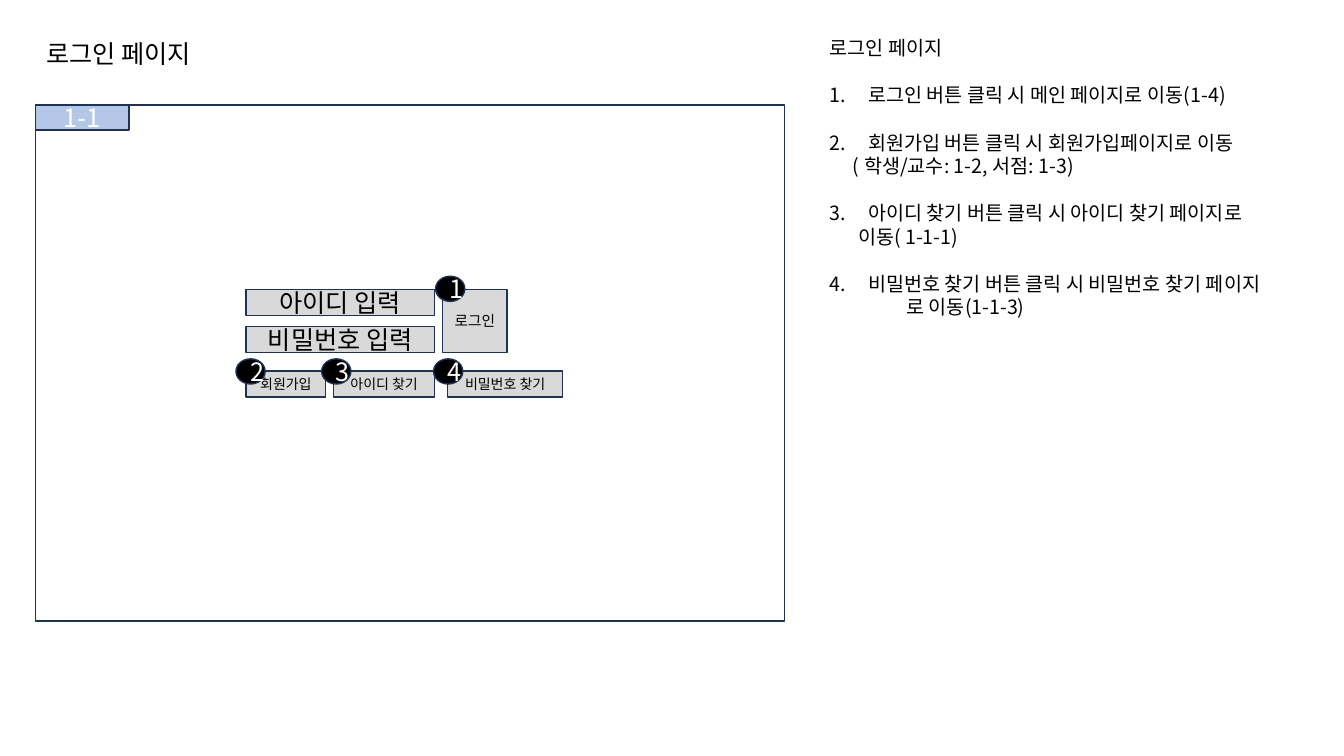
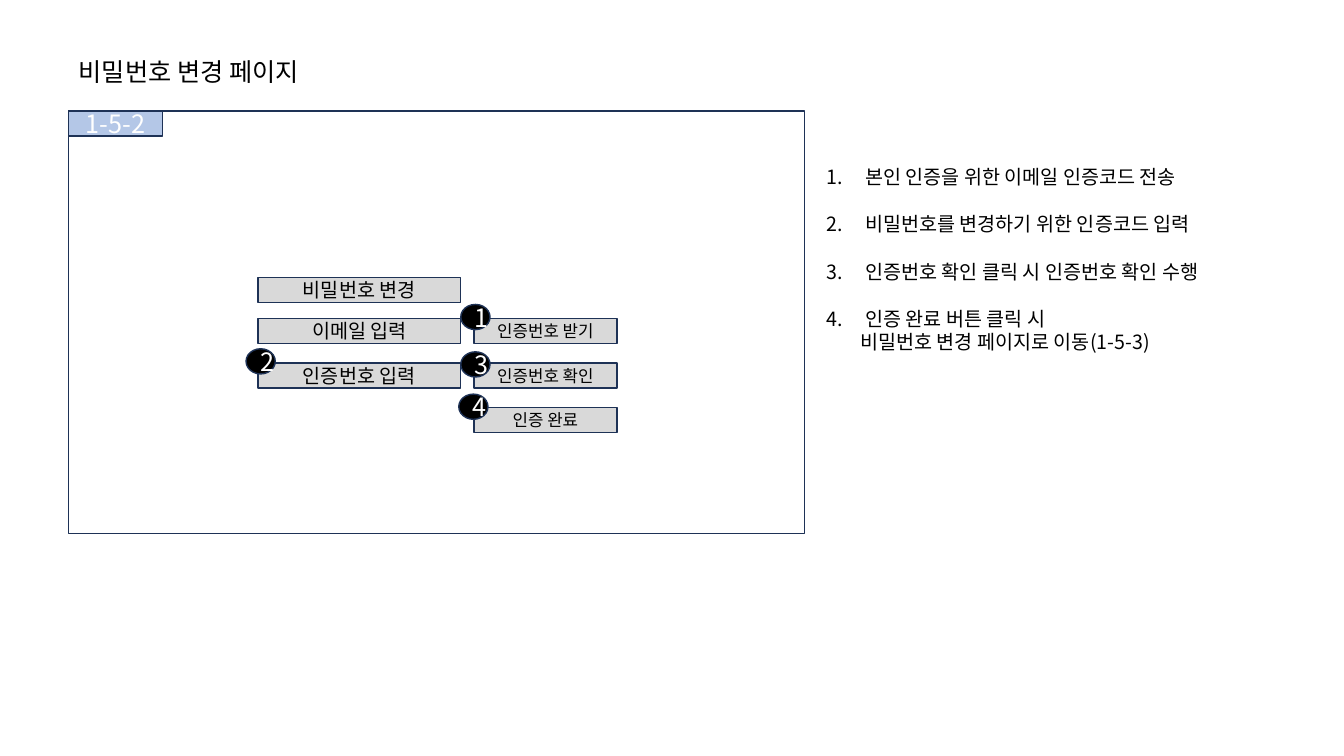
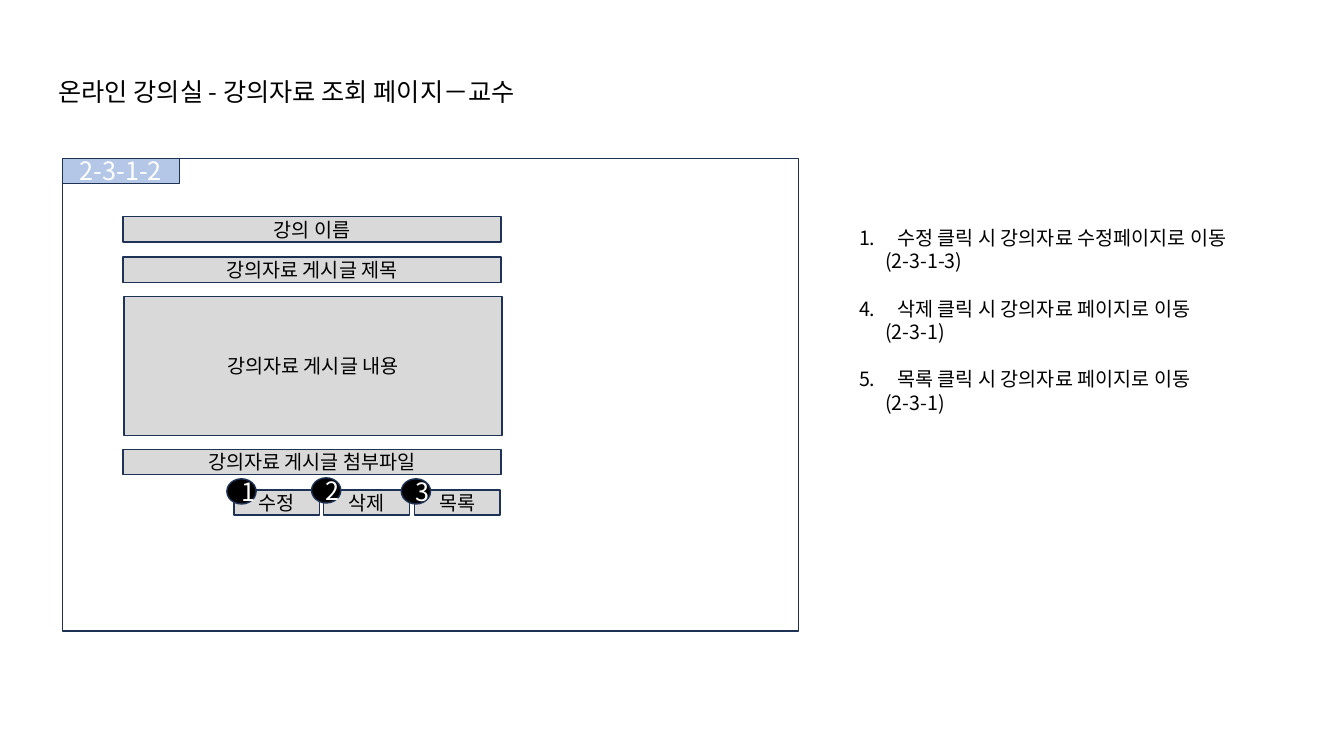
from lxml import etree
from pptx import Presentation
from pptx.dml.color import RGBColor
from pptx.enum.shapes import MSO_SHAPE
from pptx.enum.text import MSO_ANCHOR, MSO_AUTO_SIZE, PP_ALIGN
from pptx.oxml.ns import qn
from pptx.util import Inches, Pt

RECTANGLE, OVAL = MSO_SHAPE.RECTANGLE, MSO_SHAPE.OVAL
TOP, MIDDLE = MSO_ANCHOR.TOP, MSO_ANCHOR.MIDDLE
LEFT, CENTER = PP_ALIGN.LEFT, PP_ALIGN.CENTER
NO_AUTOFIT = MSO_AUTO_SIZE.NONE

COLORS = {"white": "FFFFFF", "black": "000000", "edge": "1E3256",
          "tag": "B4C7E7", "control": "D9D9D9"}
FONT = "Noto Sans CJK KR"
LINE_HEIGHT = 1.2
TITLE_SIZE, NOTE_SIZE = 18, 14
NUMBER_INDENT = 0.38
BAR = 0.25
BADGE = (0.29, 0.25)


def color(name):
    return RGBColor.from_string(COLORS[name])


def write(para, text, size, ink="black", align=LEFT, before=0):
    """Put one run of styled text in a paragraph."""
    span = para.add_run()
    span.text = text
    formats = {"alignment": align, "line_spacing": Pt(size * LINE_HEIGHT),
               "space_before": Pt(before), "space_after": Pt(0)}
    for name, value in formats.items():
        setattr(para, name, value)
    for name, value in {"name": FONT, "size": Pt(size), "bold": False}.items():
        setattr(span.font, name, value)
    span.font.color.rgb = color(ink)
    east_asian = etree.SubElement(span.font._element, qn("a:ea"))
    east_asian.set("typeface", FONT)


def place(shape, box):
    for name, value in zip(("left", "top", "width", "height"), box):
        setattr(shape, name, Inches(value))


def set_frame(frame, anchor):
    for name, value in {"word_wrap": True, "auto_size": NO_AUTOFIT,
                        "vertical_anchor": anchor}.items():
        setattr(frame, name, value)


def add_block(page, box, fill, text="", size=TITLE_SIZE, ink="black", kind=RECTANGLE):
    block = page.shapes.add_shape(kind, *map(Inches, box))
    block.shadow.inherit = False
    block.fill.solid()
    block.fill.fore_color.rgb = color(fill)
    block.line.color.rgb = color("edge")
    block.line.width = Pt(1)
    if text:
        set_frame(block.text_frame, MIDDLE)
        write(block.text_frame.paragraphs[0], text, size, ink, CENTER)


def add_title(page, box, text):
    title = page.shapes.title
    place(title, box)
    set_frame(title.text_frame, TOP)
    write(title.text_frame.paragraphs[0], text, TITLE_SIZE)


def set_indent(para, left, number=None):
    """Indent a paragraph; with a number, hang it in the indent."""
    props = para._p.get_or_add_pPr()
    props.set("marL", str(Inches(left)))
    props.set("indent", str(-Inches(left) if number else 0))
    if number:
        bullet = etree.SubElement(props, qn("a:buAutoNum"))
        bullet.set("type", "arabicPeriod")
        bullet.set("startAt", str(number))
    else:
        etree.SubElement(props, qn("a:buNone"))


def add_notes_list(page, box, notes):
    """Notes are (number, text) or (number, text, second line, its indent)."""
    body = page.placeholders[1]
    place(body, box)
    frame = body.text_frame
    set_frame(frame, TOP)
    for index, (number, text, *second) in enumerate(notes):
        para = frame.add_paragraph() if index else frame.paragraphs[0]
        set_indent(para, NUMBER_INDENT if number else 0, number)
        write(para, text, NOTE_SIZE, before=NOTE_SIZE * LINE_HEIGHT if index else 0)
        if second:
            line, indent = second
            para = frame.add_paragraph()
            set_indent(para, indent)
            write(para, line, NOTE_SIZE)


def add_wireframe(page, box, tag, tag_width, controls):
    """Controls are (x, y, width, height, text, size[, (badge, dx, dy)]),
    measured from the corner of the screen; badges from their control."""
    left, top = box[:2]
    add_block(page, box, "white")
    add_block(page, (left, top, tag_width, BAR), "tag", tag, ink="white")
    for x, y, width, height, text, size, *_ in controls:
        add_block(page, (left + x, top + y, width, height), "control", text, size)
    # Number badges lie over all controls
    for x, y, _, _, _, _, *badges in controls:
        for number, dx, dy in badges:
            add_block(page, (left + x + dx, top + y + dy, *BADGE), "black",
                      number, ink="white", kind=OVAL)


LOGIN = {
    "title": ((0.36, 0.33, 4.34, 0.4), "로그인 페이지"),
    "notes": ((8.13, 0.31, 5.08, 2.93), [
        (None, "로그인 페이지"),
        (1, "로그인 버튼 클릭 시 메인 페이지로 이동(1-4)"),
        (2, "회원가입 버튼 클릭 시 회원가입페이지로 이동",
         "( 학생/교수: 1-2, 서점: 1-3)", 0.23),
        (3, "아이디 찾기 버튼 클릭 시 아이디 찾기 페이지로", "이동( 1-1-1)", 0.28),
        (4, "비밀번호 찾기 버튼 클릭 시 비밀번호 찾기 페이지", "로 이동(1-1-3)", 0.76),
    ]),
    "wireframe": ((0.35, 1.04, 7.43, 5.12), "1-1", 0.93, [
        (2.09, 1.83, 1.87, 0.26, "아이디 입력", 18),
        (2.09, 2.2, 1.87, 0.26, "비밀번호 입력", 18),
        (4.04, 1.83, 0.64, 0.63, "로그인", 10.5, ("1", -0.07, -0.13)),
        (2.09, 2.64, 0.79, 0.26, "회원가입", 10, ("2", -0.1, -0.12)),
        (2.96, 2.64, 1, 0.26, "아이디 찾기", 10, ("3", -0.12, -0.12)),
        (4.09, 2.64, 1.14, 0.26, "비밀번호 찾기", 10, ("4", -0.14, -0.12)),
    ]),
}

PASSWORD = {
    "title": ((0.68, 0.51, 2.9, 0.4), "비밀번호 변경 페이지"),
    "notes": ((8.1, 1.59, 5.08, 2), [
        (1, "본인 인증을 위한 이메일 인증코드 전송"),
        (2, "비밀번호를 변경하기 위한 인증코드 입력"),
        (3, "인증번호 확인 클릭 시 인증번호 확인 수행"),
        (4, "인증 완료 버튼 클릭 시", "비밀번호 변경 페이지로 이동(1-5-3)", 0.33),
    ]),
    "wireframe": ((0.68, 1.1, 7.3, 4.19), "1-5-2", 0.93, [
        (1.88, 1.65, 2.01, BAR, "비밀번호 변경", 14),
        (1.88, 2.06, 2.01, BAR, "이메일 입력", 14),
        (1.88, 2.5, 2.01, BAR, "인증번호 입력", 14, ("2", -0.12, -0.14)),
        (4.02, 2.06, 1.42, BAR, "인증번호 받기", 12, ("1", -0.13, -0.14)),
        (4.02, 2.5, 1.42, BAR, "인증번호 확인", 12, ("3", -0.13, -0.11)),
        (4.02, 2.94, 1.42, BAR, "인증 완료", 12, ("4", -0.15, -0.13)),
    ]),
}

LECTURE = {
    "title": ((0.48, 0.71, 5.3, 0.4), "온라인 강의실 - 강의자료 조회 페이지－교수"),
    "notes": ((8.42, 2.19, 4.29, 2), [
        (1, "수정 클릭 시 강의자료 수정페이지로 이동", "(2-3-1-3)", 0.26),
        (4, "삭제 클릭 시 강의자료 페이지로 이동", "(2-3-1)", 0.26),
        (5, "목록 클릭 시 강의자료 페이지로 이동", "(2-3-1)", 0.26),
    ]),
    "wireframe": ((0.62, 1.57, 7.3, 4.69), "2-3-1-2", 1.16, [
        (0.6, 0.58, 3.75, BAR, "강의 이름", 14),
        (0.6, 0.98, 3.75, BAR, "강의자료 게시글 제목", 14),
        (0.61, 1.37, 3.75, 1.38, "강의자료 게시글 내용", 14),
        (0.6, 2.89, 3.75, BAR, "강의자료 게시글 첨부파일", 14),
        (1.7, 3.29, 0.85, BAR, "수정", 14, ("1", -0.07, -0.11)),
        (2.59, 3.29, 0.85, BAR, "삭제", 14, ("2", -0.12, -0.12)),
        (3.49, 3.29, 0.85, BAR, "목록", 14, ("3", -0.13, -0.11)),
    ]),
}


def add_page(deck, content):
    page = deck.slides.add_slide(deck.slide_layouts[1])
    add_title(page, *content["title"])
    add_notes_list(page, *content["notes"])
    add_wireframe(page, *content["wireframe"])


def main():
    deck = Presentation()
    deck.slide_width, deck.slide_height = Inches(13.33), Inches(7.5)
    for content in (LOGIN, PASSWORD, LECTURE):
        add_page(deck, content)
    deck.save("out.pptx")


if __name__ == "__main__":
    main()
